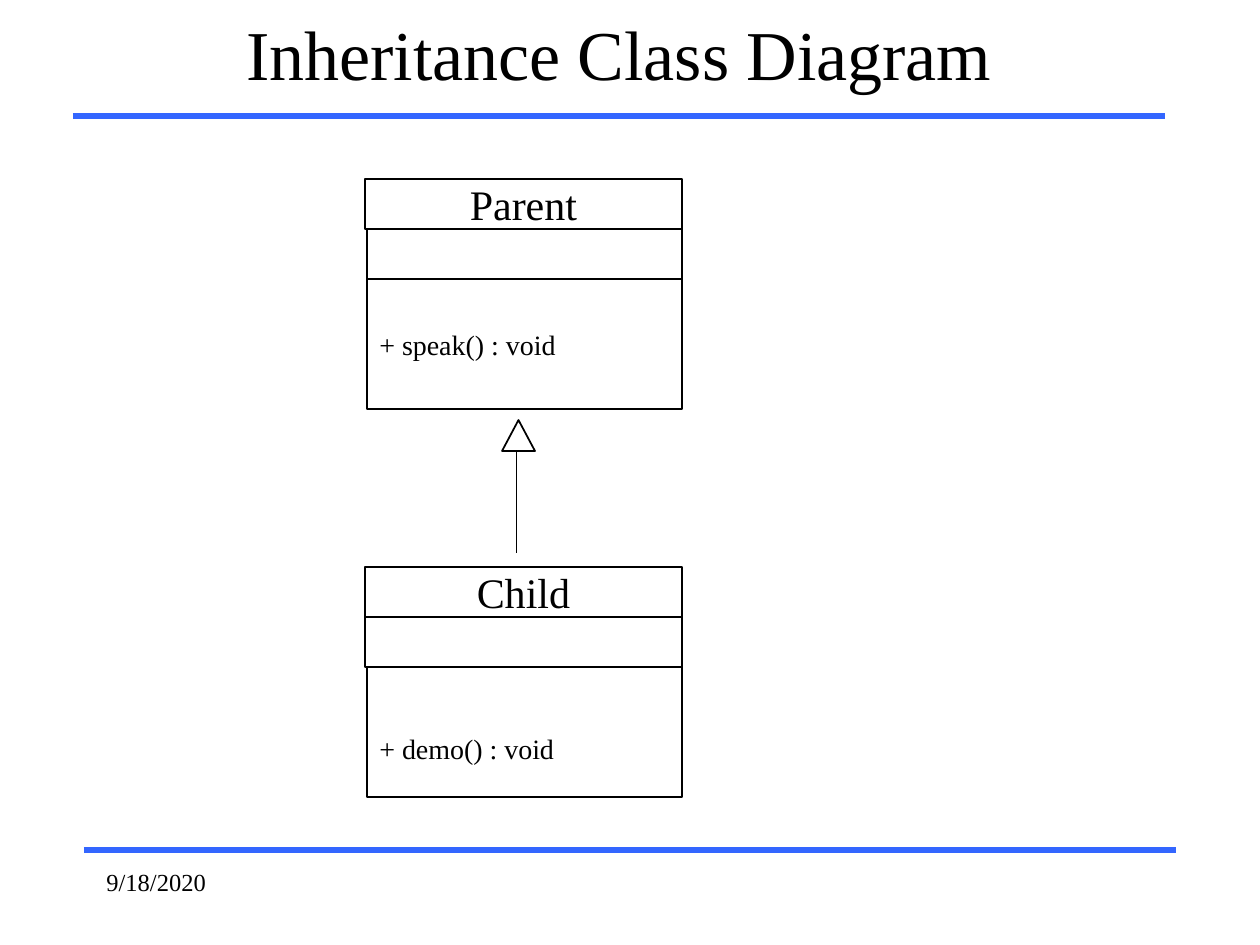
import pptx
import pptx.util
import pptx.dml.color
import pptx.enum.shapes
import pptx.enum.text
import pptx.oxml.ns
import lxml.etree

SHAPE = pptx.enum.shapes.MSO_SHAPE
ALIGN = pptx.enum.text.PP_ALIGN
ANCHOR = pptx.enum.text.MSO_ANCHOR


def px(n):
    return pptx.util.Emu(round(n * 914400 / 126))


def rgb(value):
    return pptx.dml.color.RGBColor.from_string(value)


def write(tf, text, size=16, color="000000", font="Times New Roman",
          align=ALIGN.LEFT, anchor=ANCHOR.MIDDLE, top=6):
    tf.word_wrap = True
    tf.vertical_anchor = anchor
    tf.margin_left = tf.margin_right = pptx.util.Inches(0.1)
    tf.margin_top, tf.margin_bottom = px(top), px(6)
    p = tf.paragraphs[0]
    p.alignment = align
    r = p.add_run()
    r.text = text
    r.font.size = pptx.util.Pt(size)
    r.font.name = font
    r.font.color.rgb = rgb(color)


class Diagram:
    ink = "000000"
    paper = "FFFFFF"
    accent = "3366FF"

    def __init__(self, prs):
        self.s = prs.slides.add_slide(prs.slide_layouts[5])

    def title(self, text, x, y, w, h):
        sp = self.s.shapes.title
        sp.left, sp.top, sp.width, sp.height = map(px, (x, y, w, h))
        write(sp.text_frame, text, size=40, align=ALIGN.CENTER)

    def label(self, text, x, y, w, h, **style):
        sp = self.s.shapes.add_textbox(*map(px, (x, y, w, h)))
        write(sp.text_frame, text, **style)

    def line(self, x1, y1, x2, y2, color=ink, width=0.5):
        c = self.s.shapes.add_connector(
            pptx.enum.shapes.MSO_CONNECTOR.STRAIGHT, *map(px, (x1, y1, x2, y2)))
        c.line.color.rgb = rgb(color)
        c.line.width = pptx.util.Pt(width)
        lxml.etree.SubElement(c._element.spPr, pptx.oxml.ns.qn("a:effectLst"))

    def shape(self, kind, x, y, w, h, width=0.75):
        sp = self.s.shapes.add_shape(kind, *map(px, (x, y, w, h)))
        sp.shadow.inherit = False
        sp.fill.solid()
        sp.fill.fore_color.rgb = rgb(self.paper)
        sp.line.color.rgb = rgb(self.ink)
        sp.line.width = pptx.util.Pt(width)
        return sp

    def uml_class(self, name, method, y, fields_x, method_top=6):
        right, row = 682, 50
        sp = self.shape(SHAPE.RECTANGLE, 365, y, right - 365, row)
        write(sp.text_frame, name, size=24, align=ALIGN.CENTER)
        self.shape(SHAPE.RECTANGLE, fields_x, y + row, right - fields_x, row)
        sp = self.shape(SHAPE.RECTANGLE, 367, y + 2 * row, right - 367, 130)
        write(sp.text_frame, method, top=method_top)

    def inheritance(self, x, top, bottom):
        self.line(x, bottom, x, top + 18)
        self.shape(SHAPE.ISOSCELES_TRIANGLE, x - 14, top, 33, 31, width=1)


def main():
    prs = pptx.Presentation()
    prs.slide_width, prs.slide_height = px(1260), px(945)
    d = Diagram(prs)
    d.line(84, 850, 1176, 850, color=d.accent, width=3)
    d.line(73, 116, 1165, 116, color=d.accent, width=3)
    d.title("Inheritance Class Diagram", 73, 0, 1092, 105)
    d.label("9/18/2020", 94, 861, 262, 63, size=14, anchor=ANCHOR.TOP)
    d.uml_class("Child", "+ demo() : void", 567, 365, method_top=39)
    d.uml_class("Parent", "+ speak() : void", 179, 367)
    d.inheritance(516, 420, 553)
    prs.save("out.pptx")


if __name__ == "__main__":
    main()
